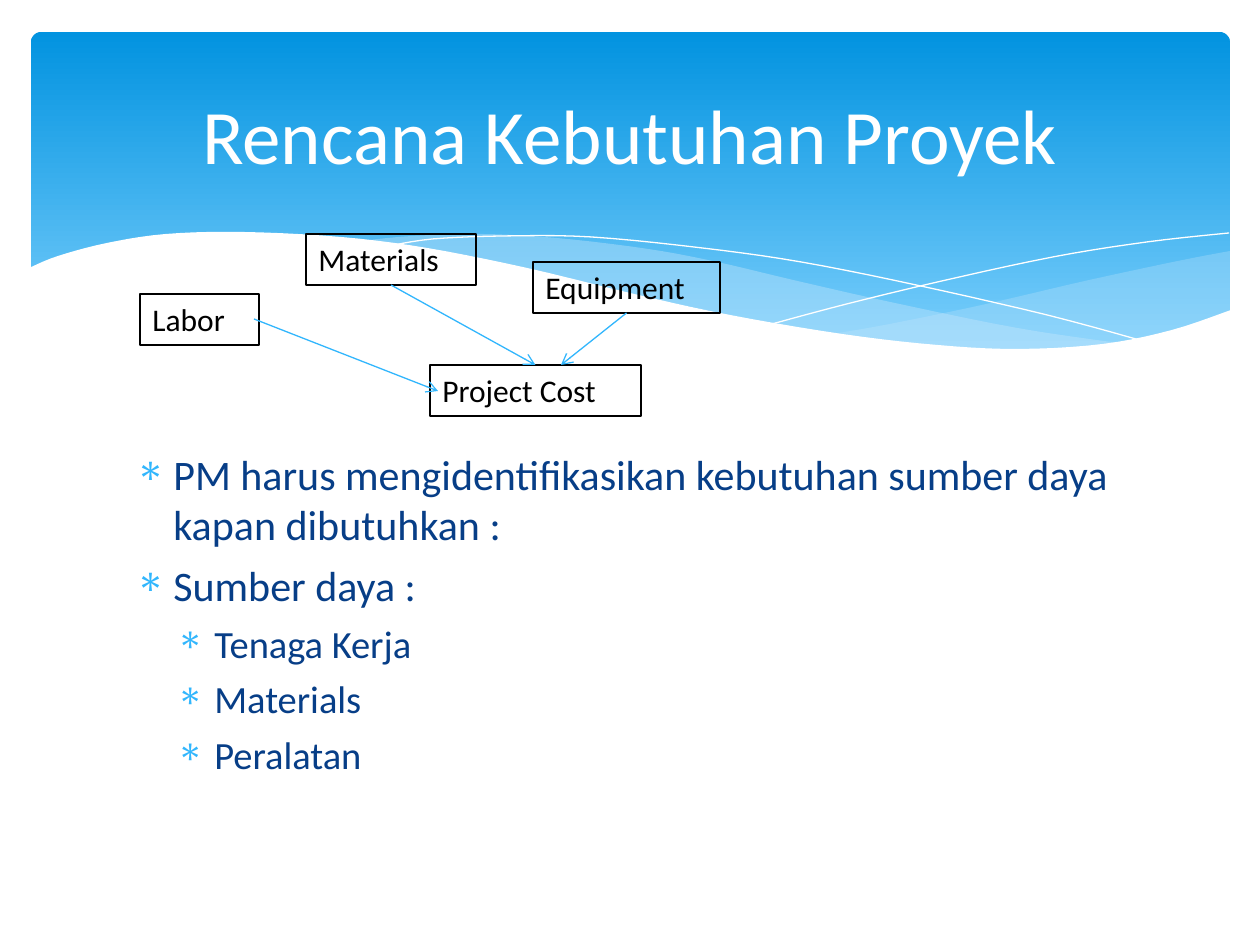
"""Build the project resource planning slide with its wave backdrop and cost diagram."""
from dataclasses import dataclass

from lxml import etree
from pptx import Presentation
from pptx.dml.color import RGBColor
from pptx.enum.shapes import MSO_CONNECTOR, MSO_SHAPE
from pptx.enum.text import MSO_ANCHOR, PP_ALIGN
from pptx.oxml.ns import qn
from pptx.util import Pt

STRAIGHT = MSO_CONNECTOR.STRAIGHT
RECTANGLE, ROUNDED = MSO_SHAPE.RECTANGLE, MSO_SHAPE.ROUNDED_RECTANGLE
TOP, MIDDLE = MSO_ANCHOR.TOP, MSO_ANCHOR.MIDDLE
LEFT, CENTER = PP_ALIGN.LEFT, PP_ALIGN.CENTER
TOP_SIDE, BOTTOM_SIDE = 0, 2
EMU_PER_PX = 914400 / 126


@dataclass(frozen=True)
class Theme:
    font: str = "Calibri"
    sky_top: str = "0293E0"
    sky_bottom: str = "83D3FE"
    wave: str = "C6E7FC"
    white: str = "FFFFFF"
    black: str = "000000"
    body: str = "073E87"
    accent: str = "31B6FD"
    title_size: int = 44
    label_size: int = 18
    body_sizes: tuple = (24, 22)
    body_gaps: tuple = (6, 5.5)
    body_margins: tuple = (38, 79)
    bullet_indent: int = 38
    line_width: float = 0.75


THEME = Theme()

TITLE = "Rencana Kebutuhan Proyek"
TITLE_BOX = (63, 47, 1134, 173)
BODY_BOX = (123, 442, 1021, 475)
SKY_BOX = (31, 32, 1199, 340)
BODY = [
    ("PM harus mengidentifikasikan kebutuhan sumber daya kapan dibutuhkan :", 0),
    ("Sumber daya :", 0),
    ("Tenaga Kerja", 1),
    ("Materials", 1),
    ("Peralatan", 1),
]
COST_BOXES = {
    "Labor": (140, 294, 119, 51),
    "Materials": (306, 234, 170, 51),
    "Equipment": (533, 262, 187, 51),
    "Project Cost": (430, 365, 211, 51),
}
ARROWS = [
    {"start": (254, 319), "end": (438, 391)},
    {"source": "Materials", "target": "Project Cost"},
    {"source": "Equipment", "end": (561, 365)},
]
WAVES = [
    {"fill": THEME.wave, "opacity": 29, "edges": [
        [(1230, 251), (1178, 261), (1085, 281), (982, 305), (890, 324), (833, 334)],
        [(833, 334), (905, 343), (998, 349), (1076, 348), (1150, 336), (1196, 324),
         (1230, 311)]]},
    {"fill": THEME.wave, "opacity": 40, "edges": [
        [(1125, 344), (1017, 328), (890, 302), (793, 280), (717, 262), (648, 249),
         (556, 238), (479, 234), (413, 236), (360, 241)],
        [(360, 241), (456, 256), (566, 280), (668, 302), (779, 325), (876, 340),
         (959, 349), (1031, 350), (1080, 349), (1125, 344)]]},
    {"line": THEME.white, "edges": [
        [(389, 246), (433, 239), (505, 236), (591, 237), (702, 248), (801, 262),
         (916, 285), (1047, 315), (1143, 341)]]},
    {"line": THEME.white, "edges": [
        [(772, 324), (847, 304), (942, 281), (1053, 257), (1147, 242), (1229, 233)]]},
    {"fill": THEME.white, "edges": [
        [(29, 268), (58, 256), (107, 243), (166, 234), (243, 232), (341, 237),
         (427, 248), (527, 268), (634, 294), (730, 315), (842, 334), (937, 345),
         (1019, 349), (1103, 344), (1172, 330), (1231, 310)],
        [(1231, 415)], [(29, 415)]]},
]


def px(*lengths):
    return [round(length * EMU_PER_PX) for length in lengths]


def color(value):
    return RGBColor.from_string(value)


def smooth_curve(points, steps=5):
    """Return points along a Catmull-Rom curve through the given points."""
    padded = [points[0], *points, points[-1]]
    curve = [points[0]]
    for a, b, c, d in zip(padded, padded[1:], padded[2:], padded[3:]):
        for step in range(1, steps + 1):
            t = step / steps
            curve.append(tuple(
                (2 * q + (r - p) * t + (2 * p - 5 * q + 4 * r - s) * t ** 2
                 + (3 * q - p - 3 * r + s) * t ** 3) / 2
                for p, q, r, s in zip(a, b, c, d)))
    return curve


def add_wave(slide, edges, fill=None, line=None, opacity=100):
    points = [px(*point) for edge in edges for point in smooth_curve(edge)]
    builder = slide.shapes.build_freeform(*points[0], scale=1.0)
    builder.add_line_segments(points[1:], close=fill is not None)
    shape = builder.convert_to_shape()
    shape.shadow.inherit = False
    if fill:
        shape.fill.solid()
        shape.fill.fore_color.rgb = color(fill)
        shape.line.fill.background()
        if opacity < 100:
            tint = shape.fill._xPr.find(".//" + qn("a:srgbClr"))
            etree.SubElement(tint, qn("a:alpha"), val=str(opacity * 1000))
    else:
        shape.fill.background()
        shape.line.color.rgb = color(line)
        shape.line.width = Pt(0)


def add_sky(slide):
    sky = slide.shapes.add_shape(ROUNDED, *px(*SKY_BOX))
    sky.shadow.inherit = False
    sky.adjustments[0] = 0.03
    sky.line.fill.background()
    sky.fill.gradient()
    sky.fill.gradient_angle = 270
    for stop, value in zip(sky.fill.gradient_stops, (THEME.sky_top, THEME.sky_bottom)):
        stop.color.rgb = color(value)


def write_text(paragraph, text, *, size, ink, align=LEFT):
    paragraph.text = text
    paragraph.alignment = align
    paragraph.font.name = THEME.font
    paragraph.font.size = Pt(size)
    paragraph.font.color.rgb = color(ink)


def add_bullet(paragraph, level):
    properties = paragraph._p.get_or_add_pPr()
    properties.set("marL", str(px(THEME.body_margins[level])[0]))
    properties.set("indent", str(px(-THEME.bullet_indent)[0]))
    bullet_color = etree.SubElement(properties, qn("a:buClr"))
    etree.SubElement(bullet_color, qn("a:srgbClr"), val=THEME.accent)
    etree.SubElement(properties, qn("a:buChar"), char="∗")


def add_body(slide):
    frame = slide.shapes.add_textbox(*px(*BODY_BOX)).text_frame
    frame.word_wrap = True
    for index, (text, level) in enumerate(BODY):
        paragraph = frame.add_paragraph() if index else frame.paragraphs[0]
        paragraph.level = level
        add_bullet(paragraph, level)
        if index:
            paragraph.space_before = Pt(THEME.body_gaps[level])
        write_text(paragraph, text, size=THEME.body_sizes[level], ink=THEME.body)


def add_cost_box(slide, text, box):
    shape = slide.shapes.add_shape(RECTANGLE, *px(*box))
    shape.shadow.inherit = False
    shape.fill.background()
    shape.line.color.rgb = color(THEME.black)
    shape.line.width = Pt(THEME.line_width)
    shape.text_frame.word_wrap = True
    shape.text_frame.vertical_anchor = TOP
    write_text(shape.text_frame.paragraphs[0], text, size=THEME.label_size, ink=THEME.black)
    return shape


def add_arrow(slide, boxes, start=(0, 0), end=(0, 0), source=None, target=None):
    arrow = slide.shapes.add_connector(STRAIGHT, *px(*start, *end))
    if source:
        arrow.begin_connect(boxes[source], BOTTOM_SIDE)
    if target:
        arrow.end_connect(boxes[target], TOP_SIDE)
    arrow.line.color.rgb = color(THEME.accent)
    arrow.line.width = Pt(THEME.line_width)
    etree.SubElement(arrow.line._get_or_add_ln(), qn("a:tailEnd"), type="arrow")
    etree.SubElement(arrow._element.spPr, qn("a:effectLst"))


def main():
    presentation = Presentation()
    presentation.slide_width, presentation.slide_height = px(1260, 945)
    slide = presentation.slides.add_slide(presentation.slide_layouts[5])
    add_sky(slide)
    for wave in WAVES:
        add_wave(slide, **wave)
    add_body(slide)
    title = slide.shapes.title
    title.left, title.top, title.width, title.height = px(*TITLE_BOX)
    title.text_frame.vertical_anchor = MIDDLE
    write_text(title.text_frame.paragraphs[0], TITLE, size=THEME.title_size,
               ink=THEME.white, align=CENTER)
    slide.shapes._spTree.append(title._element)
    boxes = {text: add_cost_box(slide, text, box) for text, box in COST_BOXES.items()}
    for arrow in ARROWS:
        add_arrow(slide, boxes, **arrow)
    presentation.save("out.pptx")


if __name__ == "__main__":
    main()
